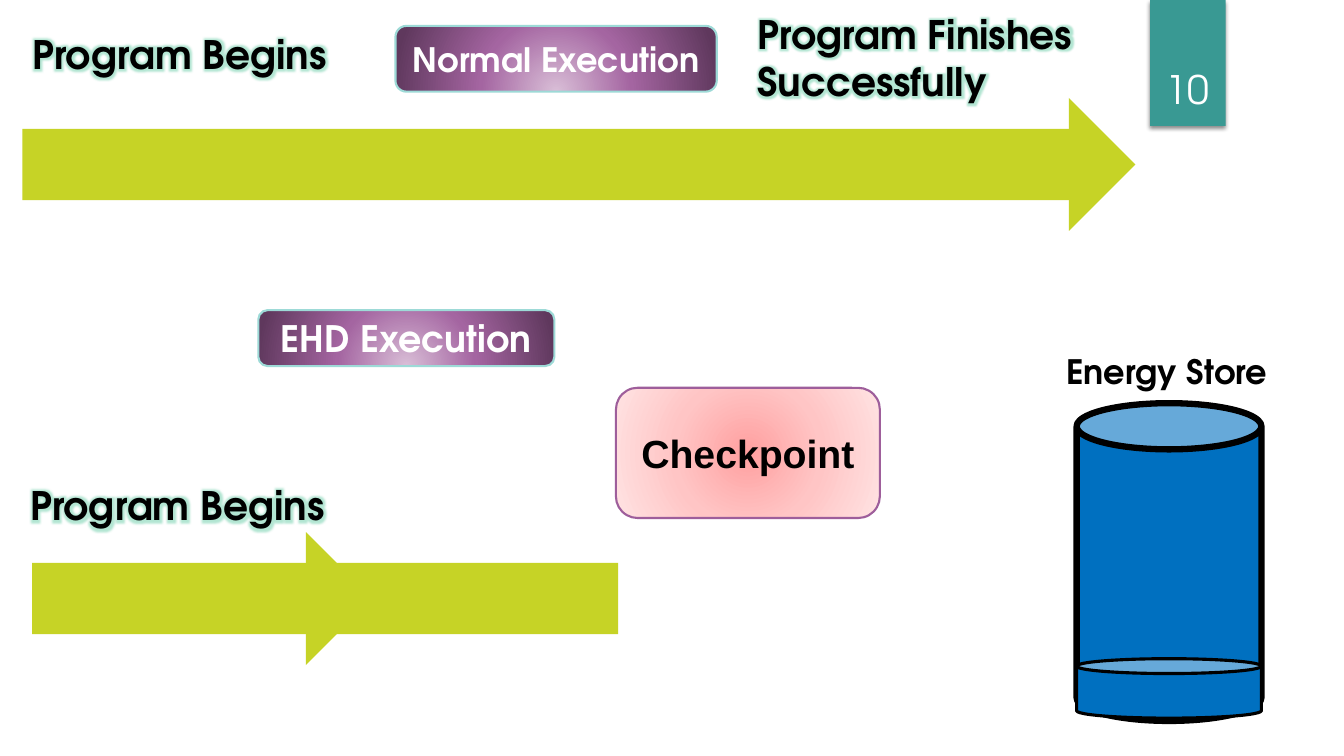
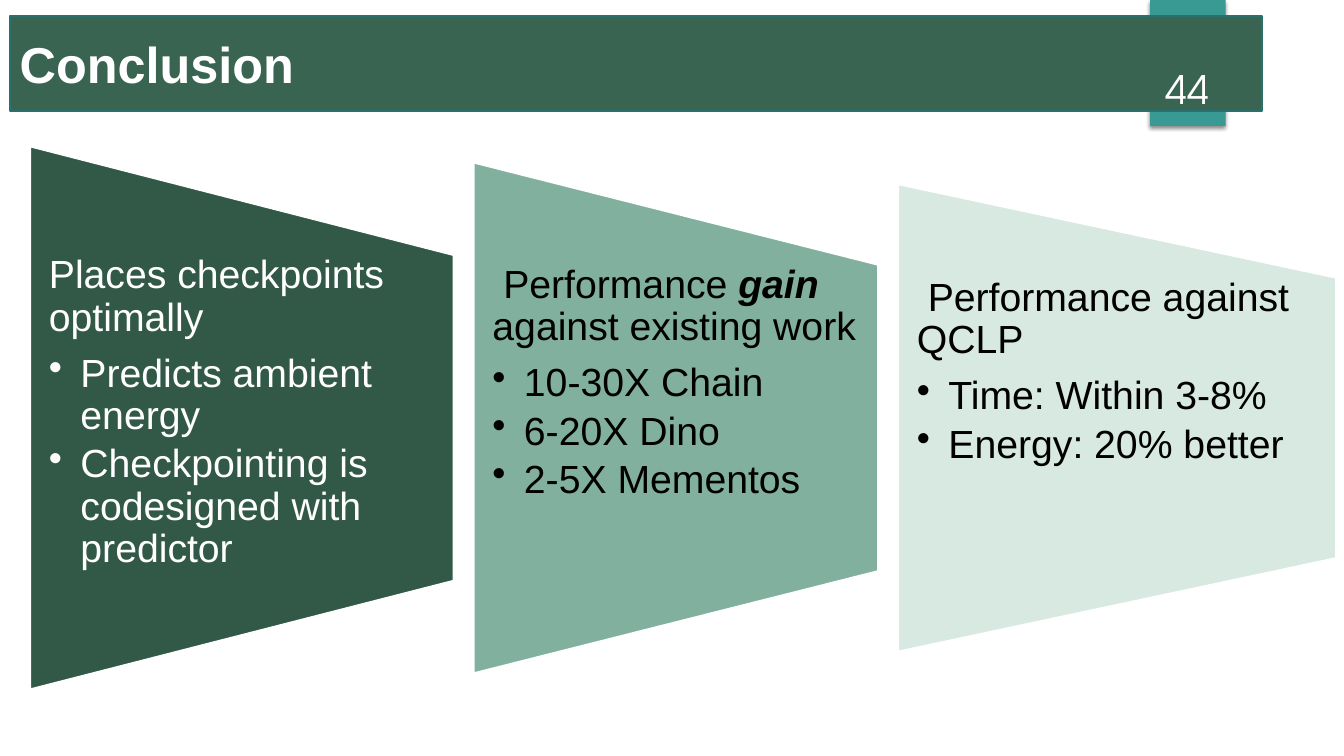
from lxml import etree
from pptx import Presentation
from pptx.dml.color import RGBColor
from pptx.enum.shapes import MSO_SHAPE
from pptx.enum.text import MSO_ANCHOR, PP_ALIGN
from pptx.oxml import parse_xml
from pptx.oxml.ns import nsdecls, qn
from pptx.util import Pt

RECT, ROUNDED = MSO_SHAPE.RECTANGLE, MSO_SHAPE.ROUNDED_RECTANGLE
CAN, TRIANGLE = MSO_SHAPE.CAN, MSO_SHAPE.ISOSCELES_TRIANGLE
TRAPEZOID = MSO_SHAPE.FLOWCHART_MANUAL_OPERATION
LEFT, CENTER = PP_ALIGN.LEFT, PP_ALIGN.CENTER
TOP, MIDDLE, BOTTOM = MSO_ANCHOR.TOP, MSO_ANCHOR.MIDDLE, MSO_ANCHOR.BOTTOM

DISPLAY, BODY = "TeX Gyre Adventor", "Arial"
WHITE, BLACK = "FFFFFF", "000000"
TEAL, LIME, BLUE, GLOW = "399993", "C6D326", "0070C0", "40C090"
# Radial fills: (colour stops, vertical centre in percent)
PURPLE = ([(0, "D9BED7"), (46, "A465A1"), (100, "5F385D")], 130)
PINK = ([(0, "FFA0A0"), (50, "FFC5C5"), (100, "FFE3E3")], 50)


def color(value):
    return RGBColor.from_string(value)


def points(box):
    return [Pt(length) for length in box]


def radial_fill(shape, stops, center):
    shape.fill.background()
    stop_xml = "".join(
        f'<a:gs pos="{pos * 1000}"><a:srgbClr val="{value}"/></a:gs>'
        for pos, value in stops)
    gradient = parse_xml(
        f'<a:gradFill {nsdecls("a")} rotWithShape="1"><a:gsLst>{stop_xml}</a:gsLst>'
        f'<a:path path="circle"><a:fillToRect l="50000" t="{center * 1000}" '
        f'r="50000" b="{(100 - center) * 1000}"/></a:path></a:gradFill>')
    properties = shape._element.spPr
    properties.replace(properties.find(qn("a:noFill")), gradient)


def add_figure(slide, kind, box, fill, line=None, line_width=1.5):
    figure = slide.shapes.add_shape(kind, *points(box))
    figure.shadow.inherit = False
    if isinstance(fill, tuple):
        radial_fill(figure, *fill)
    else:
        figure.fill.solid()
        figure.fill.fore_color.rgb = color(fill)
    if line:
        figure.line.color.rgb = color(line)
        figure.line.width = Pt(line_width)
    else:
        figure.line.fill.background()
    return figure


def add_run(paragraph, text, size, ink, face, **style):
    run = paragraph.add_run()
    run.text = text
    run.font.color.rgb = color(ink)
    for key, value in {"size": Pt(size), "name": face, **style}.items():
        setattr(run.font, key, value)
    return run


def write(shape, text, size, ink, face=DISPLAY, align=LEFT, anchor=TOP, bold=True):
    frame = shape.text_frame
    frame.word_wrap = True
    frame.vertical_anchor = anchor
    frame.paragraphs[0].alignment = align
    return add_run(frame.paragraphs[0], text, size, ink, face, bold=bold)


def add_label(slide, box, text, size=28, glow=True):
    label = slide.shapes.add_textbox(*points(box))
    run = write(label, text, size, BLACK)
    if glow:
        effect = parse_xml(
            f'<a:effectLst {nsdecls("a")}><a:glow rad="{Pt(8)}"><a:srgbClr val="{GLOW}">'
            '<a:alpha val="40000"/></a:srgbClr></a:glow></a:effectLst>')
        run.font._element.find(qn("a:solidFill")).addnext(effect)


# Page badge shared by the slides
def add_badge(slide):
    badge = add_figure(slide, RECT, (821.5, 0, 54, 90), TEAL)
    effects = badge._element.spPr.find(qn("a:effectLst"))
    effects.append(parse_xml(
        f'<a:outerShdw {nsdecls("a")} blurRad="{Pt(3)}" dist="{Pt(2)}" dir="5400000">'
        f'<a:srgbClr val="{BLACK}"><a:alpha val="45000"/></a:srgbClr></a:outerShdw>'))


def add_page_number(slide, number):
    page_number = slide.shapes.add_textbox(*points((815, 23, 66, 60.5)))
    write(page_number, number, 28, WHITE, align=CENTER, anchor=BOTTOM, bold=False)


# Execution timeline: shaft in the given box, head starting at head_left
def add_timeline(slide, box, head_left):
    left, top, width, height = box
    span, depth = 95, 47.5
    add_figure(slide, RECT, box, LIME)
    head = add_figure(slide, TRIANGLE, (head_left + (depth - span) / 2,
                                        top + (height - depth) / 2, span, depth), LIME)
    head.rotation = 90


def add_plate(slide, box, text, size, fill=PURPLE, line="9DDAD7", ink=WHITE, face=DISPLAY):
    plate = add_figure(slide, ROUNDED, box, fill, line)
    write(plate, text, size, ink, face, CENTER, MIDDLE)


# Energy store: tank with the remaining level at its foot
def add_energy_store(slide, box):
    left, top, width, height = box
    add_label(slide, (left - 14.5, top - 41, 160.5, 36), "Energy Store", 24, glow=False)
    add_figure(slide, CAN, box, BLUE, BLACK, 4.5)
    level = 42.5
    add_figure(slide, CAN, (left, top + height - level - 2, width, level), BLUE, BLACK, 2.25)


def build_execution(slide):
    add_badge(slide)
    add_page_number(slide, "10")
    add_timeline(slide, (23, 402, 418.5, 51), 218.5)
    add_timeline(slide, (16, 92, 747.5, 51), 763.5)
    for box, text in [((16, 18, 337, 41), "Program Begins"),
                      ((534, 3.5, 260, 75), "Program Finishes Successfully"),
                      ((14.5, 340.5, 337, 41), "Program Begins")]:
        add_label(slide, box, text)
    add_plate(slide, (282.5, 18.5, 229.5, 47), "Normal Execution", 24)
    add_plate(slide, (184.5, 221.5, 211.5, 40), "EHD Execution", 26)
    add_energy_store(slide, (769, 288, 132, 227))
    add_plate(slide, (440, 277, 188.5, 93), "Checkpoint", 28, PINK, "9E5E9B", BLACK, BODY)


# Conclusion panel: narrows to the right, with a heading and bullets
def add_panel(slide, box, fill, ink, heading, bullets):
    left, top, width, height = box
    turned = (left + (width - height) / 2, top + (height - width) / 2, height, width)
    add_figure(slide, TRAPEZOID, turned, fill, WHITE).rotation = 270

    text_box = (left, top + height * 0.2, width, height * 0.6)
    frame = slide.shapes.add_textbox(*points(text_box)).text_frame
    margins = {"margin_left": 13.5, "margin_right": 13.5, "margin_top": 0, "margin_bottom": 0}
    for key, value in margins.items():
        setattr(frame, key, Pt(value))
    frame.word_wrap = True

    title = frame.paragraphs[0]
    title.line_spacing, title.space_after = 0.9, Pt(9.8)
    for text, style in heading:
        add_run(title, text, 28, ink, BODY, **style)
    for text in bullets:
        point = frame.add_paragraph()
        point.level = 1
        properties = point._p.get_or_add_pPr()
        properties.set("marL", str(Pt(22.5)))
        properties.set("indent", str(-Pt(22.5)))
        etree.SubElement(properties, qn("a:buChar")).set("char", "•")
        point.line_spacing, point.space_after = 0.9, Pt(4.2)
        add_run(point, text, 28, ink, BODY)


def build_conclusion(slide):
    add_badge(slide)
    title_band = add_figure(slide, RECT, (7, 11.5, 894.5, 67.5), "386451", "2A716D")
    write(title_band, "Conclusion", 36, WHITE, BODY, anchor=MIDDLE)
    add_page_number(slide, "44")

    panels = [
        (302.5, 388, "325948", WHITE, [("Places checkpoints optimally", {})],
         ["Predicts ambient energy", "Checkpointing is codesigned with predictor"]),
        (289, 365, "81B19E", BLACK,
         [(" Performance ", {}), ("gain", {"bold": True, "italic": True}),
          (" against existing work", {})],
         ["10-30X Chain", "6-20X Dino", "2-5X Mementos"]),
        (313, 334, "D8E9E2", BLACK, [(" Performance against QCLP", {})],
         ["Time: Within 3-8%", "Energy: 20% better"]),
    ]
    left, center, gap = 21.5, 298.5, 14.25
    for width, height, *content in panels:
        add_panel(slide, (left, center - height / 2, width, height), *content)
        left += width + gap


def main():
    deck = Presentation()
    deck.slide_width, deck.slide_height = Pt(960), Pt(540)
    blank = deck.slide_layouts[6]
    for build in (build_execution, build_conclusion):
        build(deck.slides.add_slide(blank))
    deck.save("out.pptx")


if __name__ == "__main__":
    main()
